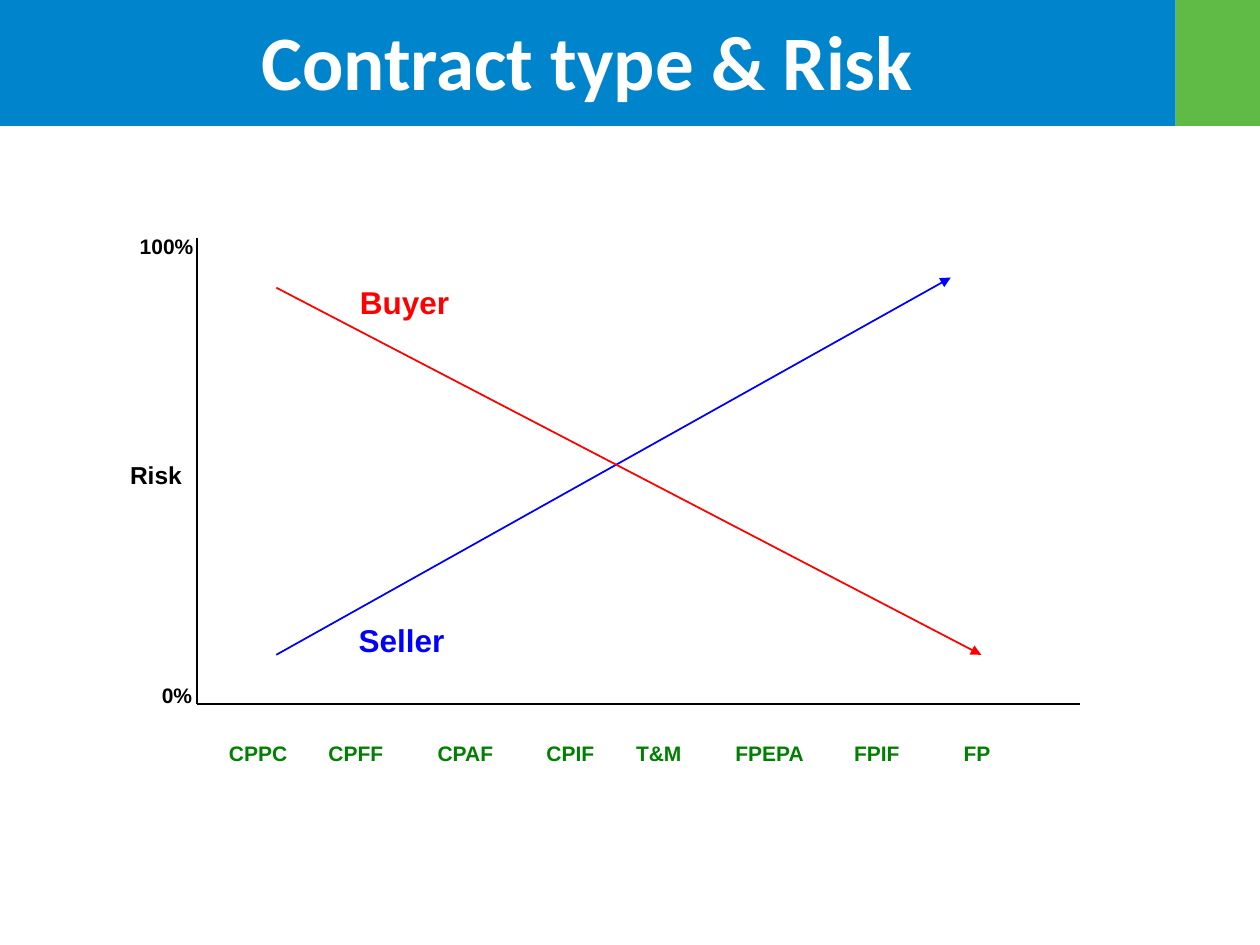
from typing import NamedTuple

from lxml import etree
from pptx import Presentation
from pptx.dml.color import RGBColor
from pptx.enum.shapes import MSO_CONNECTOR, MSO_SHAPE
from pptx.enum.text import MSO_ANCHOR, PP_ALIGN
from pptx.oxml.ns import qn
from pptx.shapes.autoshape import Shape
from pptx.slide import Slide
from pptx.util import Pt

STRAIGHT = MSO_CONNECTOR.STRAIGHT
RECTANGLE = MSO_SHAPE.RECTANGLE
MIDDLE = MSO_ANCHOR.MIDDLE
CENTER = PP_ALIGN.CENTER

BLACK, WHITE = "000000", "FFFFFF"
BUYER_RED, SELLER_BLUE, TYPE_GREEN = "FF0000", "0000FF", "008000"
BAND_BLUE, BAND_GREEN = "0084CC", "60BB46"

AXIS_LEFT, AXIS_RIGHT = 112.4, 617
AXIS_TOP, AXIS_BOTTOM = 136, 402.4
TREND_LEFT, TREND_LOW = 157.9, 374.2
TYPE_TOP = 419.8


class Band(NamedTuple):
    left: float
    width: float
    color: str


class Line(NamedTuple):
    start: tuple[float, float]
    end: tuple[float, float]
    color: str
    width: float
    arrow: bool = False


class Label(NamedTuple):
    text: str
    left: float
    top: float
    width: float
    size: float = 12
    color: str = BLACK


BANDS = [Band(-0.7, 672.5, BAND_BLUE), Band(671.8, 48.2, BAND_GREEN)]

ORIGIN = (AXIS_LEFT, AXIS_BOTTOM)
LINES = [
    Line((AXIS_LEFT, AXIS_TOP), ORIGIN, BLACK, 1.25),
    Line(ORIGIN, (AXIS_RIGHT, AXIS_BOTTOM), BLACK, 1.25),
    Line((TREND_LEFT, TREND_LOW), (543.3, 158.6), SELLER_BLUE, 1, True),
    Line((TREND_LEFT, 164.4), (560.7, TREND_LOW), BUYER_RED, 1, True),
]

LABELS = [
    Label("Buyer", 198.6, 158.4, 87, 18, BUYER_RED),
    Label("Seller", 197.8, 351.5, 107, 18, SELLER_BLUE),
    Label("100%", 72.8, 130.2, 55.4),
    Label("0%", 85.4, 386.4, 38.2),
    Label("Risk", 67.2, 259.4, 48, 14),
]

CONTRACT_TYPES = {
    "CPPC": 123.8, "CPFF": 180.6, "CPAF": 243, "CPIF": 305.2,
    "T&M": 356.4, "FPEPA": 413.2, "FPIF": 481, "FP": 543.6,
}


def rgb(color: str) -> RGBColor:
    return RGBColor.from_string(color)


def write_text(shape: Shape, text: str, *, size: float, color: str,
               font: str = "Arial", align: PP_ALIGN = PP_ALIGN.LEFT) -> None:
    shape.text_frame.word_wrap = True
    paragraph = shape.text_frame.paragraphs[0]
    paragraph.text = text
    paragraph.alignment = align
    paragraph.font.name = font
    paragraph.font.size = Pt(size)
    paragraph.font.bold = True
    paragraph.font.color.rgb = rgb(color)


def add_band(slide: Slide, band: Band) -> None:
    shape = slide.shapes.add_shape(RECTANGLE, Pt(band.left), Pt(0), Pt(band.width), Pt(72))
    shape.shadow.inherit = False
    shape.fill.solid()
    shape.fill.fore_color.rgb = rgb(band.color)
    shape.line.fill.background()


def add_line(slide: Slide, line: Line) -> None:
    points = [Pt(value) for value in (*line.start, *line.end)]
    connector = slide.shapes.add_connector(STRAIGHT, *points)
    connector.line.color.rgb = rgb(line.color)
    connector.line.width = Pt(line.width)
    properties = connector.element.spPr
    if line.arrow:
        outline = properties.find(qn("a:ln"))
        etree.SubElement(outline, qn("a:tailEnd"), type="triangle")
    etree.SubElement(properties, qn("a:effectLst"))


def add_label(slide: Slide, label: Label) -> None:
    box = slide.shapes.add_textbox(
        Pt(label.left), Pt(label.top), Pt(label.width), Pt(label.size * 1.2 + 7.2))
    write_text(box, label.text, size=label.size, color=label.color)


def place_title(slide: Slide, text: str) -> None:
    """Fill the title placeholder and bring it in front of the bands."""
    title = slide.shapes.title
    title.left, title.top, title.width, title.height = Pt(5.8), Pt(2.2), Pt(660), Pt(63.4)
    title.text_frame.vertical_anchor = MIDDLE
    write_text(title, text, size=44, color=WHITE, font="Calibri", align=CENTER)
    title.element.getparent().append(title.element)


def main() -> None:
    presentation = Presentation()
    presentation.slide_width, presentation.slide_height = Pt(720), Pt(540)
    slide = presentation.slides.add_slide(presentation.slide_layouts[5])

    for band in BANDS:
        add_band(slide, band)
    for line in LINES:
        add_line(slide, line)
    for label in LABELS:
        add_label(slide, label)
    for name, left in CONTRACT_TYPES.items():
        width = 62.6 if len(name) > 4 else 51.2
        add_label(slide, Label(name, left, TYPE_TOP, width, color=TYPE_GREEN))
    place_title(slide, "Contract type & Risk")

    presentation.save("out.pptx")


if __name__ == "__main__":
    main()
